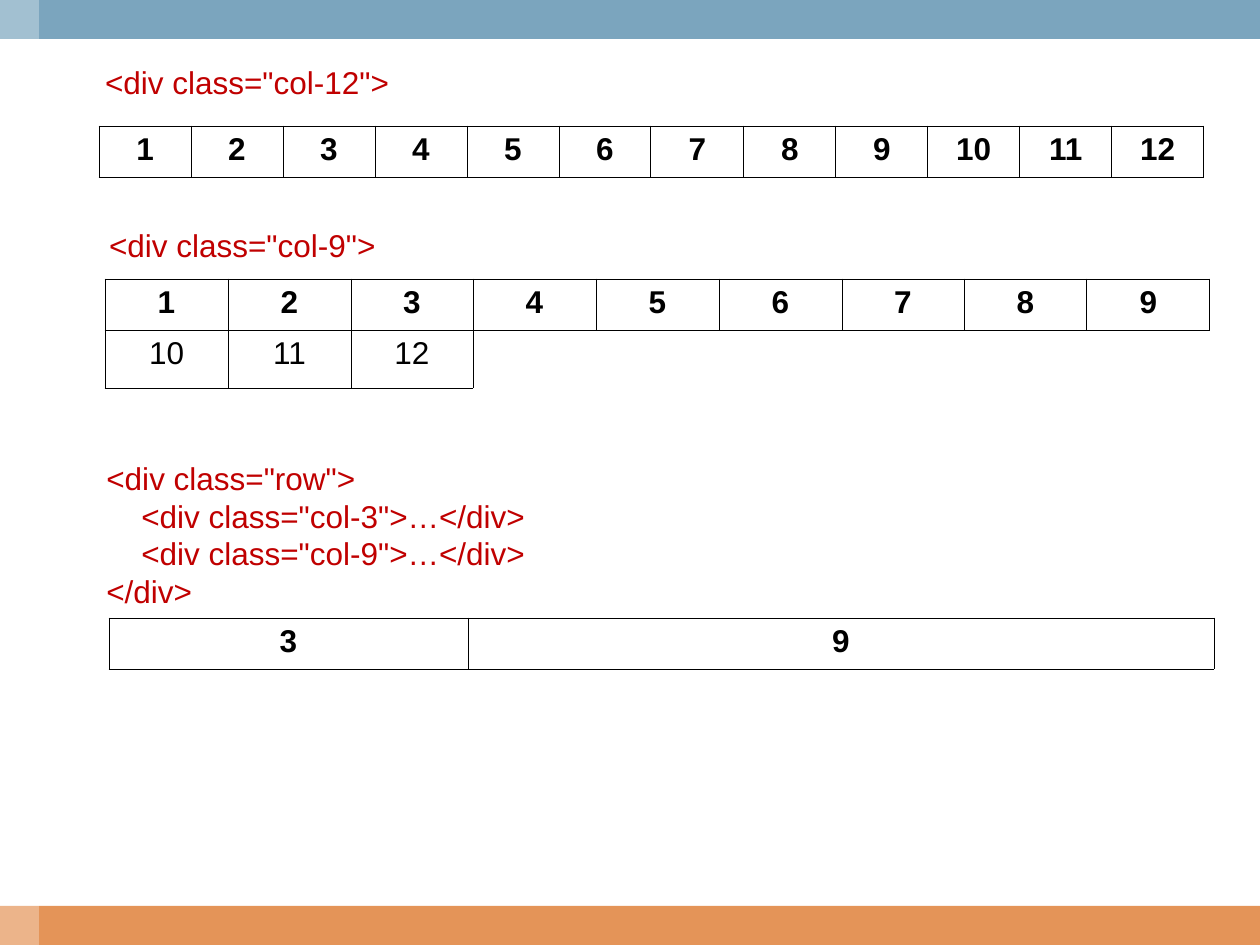
"""Build the slide showing how grid column classes divide a row."""
from dataclasses import dataclass

from lxml.etree import SubElement
from pptx import Presentation
from pptx.dml.color import RGBColor
from pptx.enum.shapes import MSO_SHAPE
from pptx.enum.text import PP_ALIGN
from pptx.oxml.ns import qn
from pptx.util import Emu, Pt


@dataclass(frozen=True)
class Theme:
    """Colours and type of the slide."""
    header: str = "7BA5BE"
    footer: str = "E49458"
    paper: str = "FFFFFF"
    ink: str = "000000"
    code: str = "C00000"
    font: str = "Arial"
    size: float = 18
    leading: float = 21.5
    border: float = 0.45


@dataclass(frozen=True)
class Band:
    """A plain rectangle, with an opacity in percent."""
    left: int
    top: int
    width: int
    height: int
    color: str
    opacity: int = 100


@dataclass(frozen=True)
class CodeBlock:
    """Lines of markup in one text box."""
    left: int
    top: int
    width: int
    height: int
    lines: tuple[str, ...]


@dataclass(frozen=True)
class Grid:
    """A table whose first row is bold; an empty label is an open cell."""
    left: int
    top: int
    column_widths: tuple[int, ...]
    row_heights: tuple[int, ...]
    labels: tuple[tuple[str, ...], ...]


THEME = Theme()
PIXELS_PER_INCH = 126
SLIDE_WIDTH, SLIDE_HEIGHT = 1260, 945
BAR = 39
GRID_WIDTH = 1105
ROW_HEIGHT = 51


def px(length: int) -> Emu:
    """Turn pixels into EMU."""
    return Emu(round(length * 914400 / PIXELS_PER_INCH))


def box(item: Band | CodeBlock) -> tuple[Emu, ...]:
    """Return the frame of an item in EMU."""
    return tuple(px(length) for length in (item.left, item.top, item.width, item.height))


def equal_widths(count: int) -> tuple[int, ...]:
    """Split the grid width into whole, nearly equal columns."""
    edges = [round(GRID_WIDTH * index / count) for index in range(count + 1)]
    return tuple(end - start for start, end in zip(edges, edges[1:]))


def numbers(first: int, last: int) -> tuple[str, ...]:
    """Return the labels from first to last."""
    return tuple(str(number) for number in range(first, last + 1))


def format_font(font, color: str, bold: bool = False) -> None:
    """Give a font the theme's type and a colour."""
    for name, value in {"name": THEME.font, "size": Pt(THEME.size), "bold": bold}.items():
        setattr(font, name, value)
    font.color.rgb = RGBColor.from_string(color)


def draw_band(slide, band: Band) -> None:
    """Draw a rectangle without outline."""
    shape = slide.shapes.add_shape(MSO_SHAPE.RECTANGLE, *box(band))
    shape.shadow.inherit = False
    shape.fill.solid()
    shape.fill.fore_color.rgb = RGBColor.from_string(band.color)
    shape.line.fill.background()
    if band.opacity < 100:
        color = shape.fill._xPr.find(qn("a:solidFill"))[0]
        SubElement(color, qn("a:alpha"), val=str(band.opacity * 1000))


def draw_code(slide, block: CodeBlock) -> None:
    """Write lines of markup, one paragraph each."""
    frame = slide.shapes.add_textbox(*box(block)).text_frame
    frame.word_wrap = True
    frame.text = "\n".join(block.lines)
    for paragraph in frame.paragraphs:
        paragraph.line_spacing = Pt(THEME.leading)
        format_font(paragraph.font, THEME.code)


def draw_borders(cell, sides: str) -> None:
    """Line the named sides of a cell and clear the others."""
    properties = cell._tc.get_or_add_tcPr()
    for side in "LRTB":
        line = SubElement(properties, qn(f"a:ln{side}"), w=str(Pt(THEME.border)))
        if side in sides:
            fill = SubElement(line, qn("a:solidFill"))
            SubElement(fill, qn("a:srgbClr"), val=THEME.ink)
        else:
            SubElement(line, qn("a:noFill"))


def draw_grid(slide, grid: Grid) -> None:
    """Draw a table of column numbers."""
    table = slide.shapes.add_table(
        len(grid.row_heights), len(grid.column_widths), px(grid.left), px(grid.top),
        px(sum(grid.column_widths)), px(sum(grid.row_heights))).table
    table.horz_banding = False
    for column, width in zip(table.columns, grid.column_widths):
        column.width = px(width)
    for row, height in zip(table.rows, grid.row_heights):
        row.height = px(height)
    for row_index, labels in enumerate(grid.labels):
        for column_index, label in enumerate(labels):
            cell = table.cell(row_index, column_index)
            after_label = column_index > 0 and labels[column_index - 1]
            draw_borders(cell, "LRTB" if label else "LT" if after_label else "T")
            cell.fill.solid()
            cell.fill.fore_color.rgb = RGBColor.from_string(THEME.paper)
            cell.text = label
            paragraph = cell.text_frame.paragraphs[0]
            paragraph.alignment = PP_ALIGN.CENTER
            format_font(paragraph.font, THEME.ink, bold=row_index == 0)


BANDS = (
    Band(0, SLIDE_HEIGHT - BAR, SLIDE_WIDTH, BAR, THEME.footer),
    Band(0, 0, SLIDE_WIDTH, BAR, THEME.header),
    Band(0, 0, BAR, SLIDE_HEIGHT, THEME.paper, 30),
)
GRIDS = (
    Grid(99, 126, equal_widths(12), (ROW_HEIGHT,), (numbers(1, 12),)),
    Grid(105, 279, equal_widths(9), (ROW_HEIGHT, 58),
         (numbers(1, 9), numbers(10, 12) + ("",) * 6)),
    Grid(109, 618, (359, GRID_WIDTH - 359), (ROW_HEIGHT,), (("3", "9"),)),
)
CODE_BLOCKS = (
    CodeBlock(84, 57, 630, 50, (' <div class="col-12">',)),
    CodeBlock(88, 220, 630, 50, (' <div class="col-9">',)),
    CodeBlock(94, 453, 1071, 164, (
        '<div class="row">',
        '    <div class="col-3">…</div>',
        '    <div class="col-9">…</div>',
        '</div>',
    )),
)


def main() -> None:
    """Build and save the presentation."""
    presentation = Presentation()
    presentation.slide_width = px(SLIDE_WIDTH)
    presentation.slide_height = px(SLIDE_HEIGHT)
    slide = presentation.slides.add_slide(presentation.slide_layouts[6])
    for draw, items in ((draw_band, BANDS), (draw_grid, GRIDS), (draw_code, CODE_BLOCKS)):
        for item in items:
            draw(slide, item)
    presentation.save("out.pptx")


if __name__ == "__main__":
    main()
